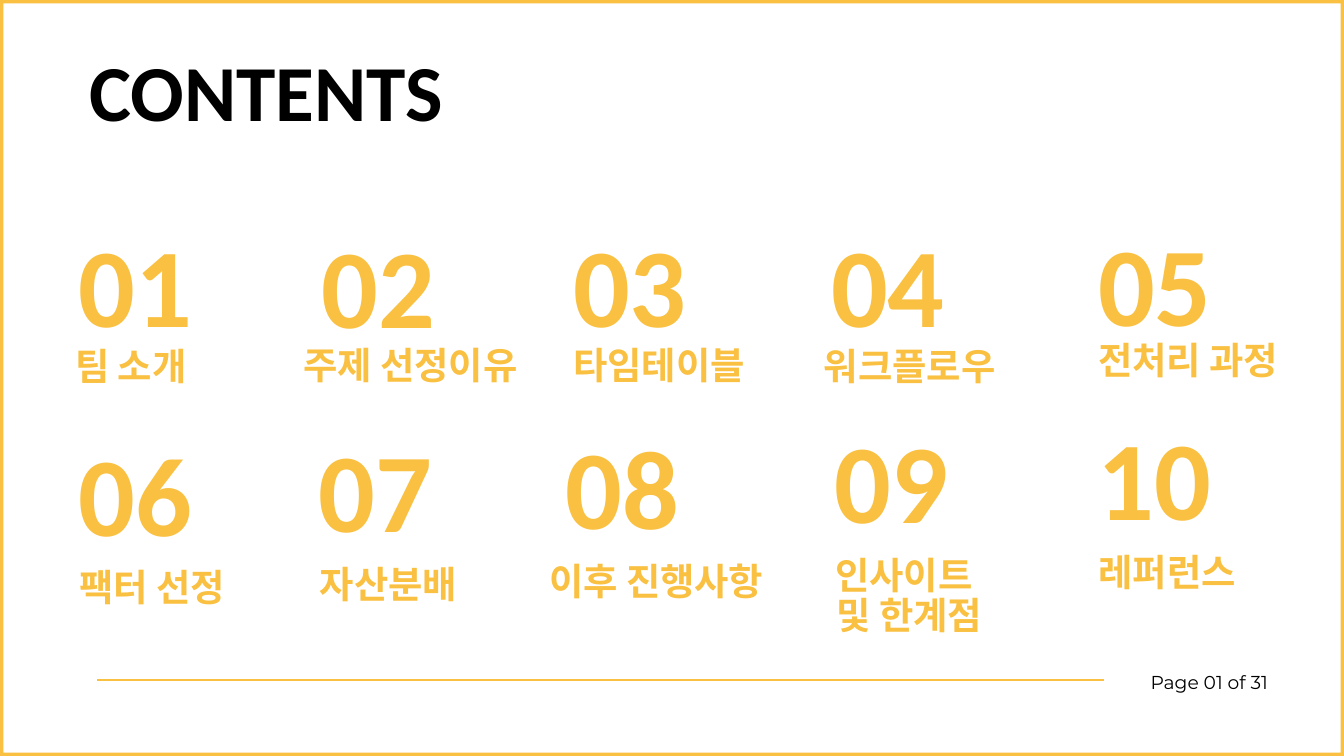
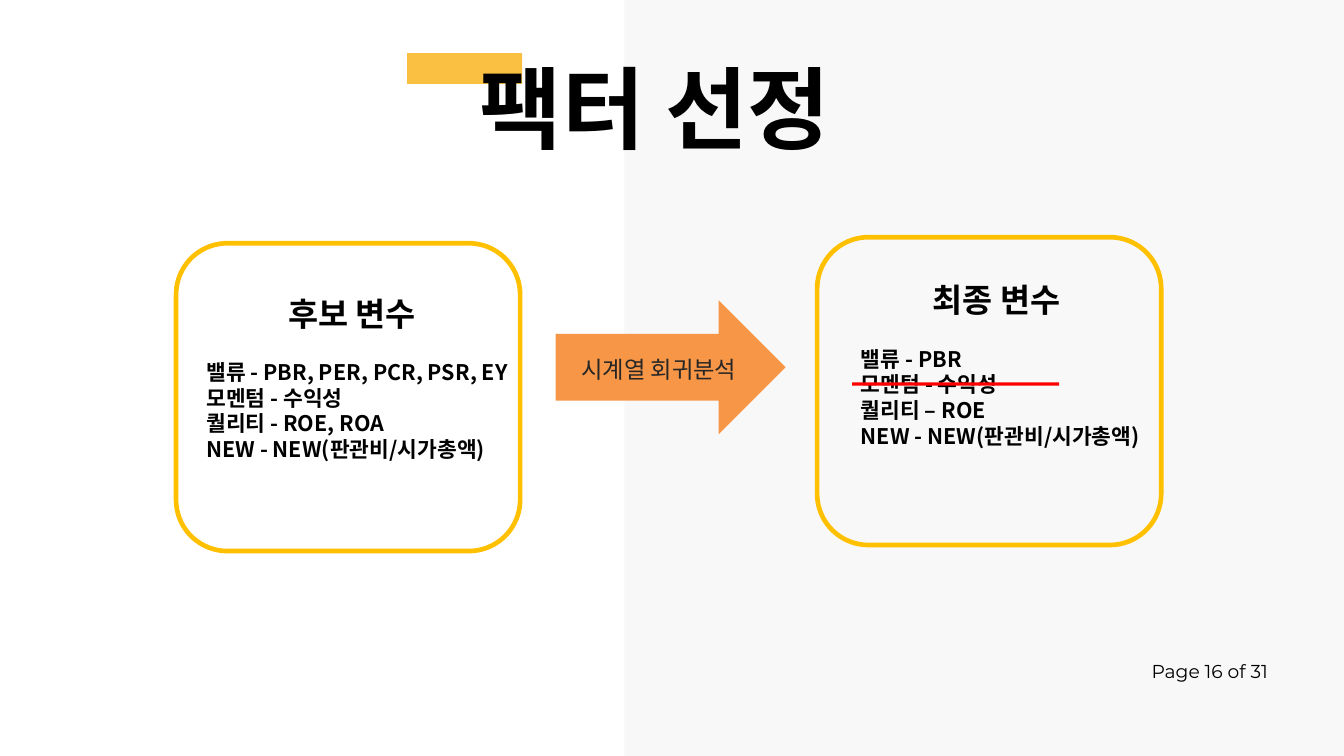
from lxml import etree
from pptx import Presentation
from pptx.dml.color import RGBColor
from pptx.enum.shapes import MSO_CONNECTOR, MSO_SHAPE
from pptx.enum.text import MSO_ANCHOR, MSO_AUTO_SIZE, PP_ALIGN
from pptx.oxml.ns import qn
from pptx.util import Inches, Pt

LEFT, RIGHT = PP_ALIGN.LEFT, PP_ALIGN.RIGHT
TOP = MSO_ANCHOR.TOP
NO_FIT = MSO_AUTO_SIZE.NONE
RECTANGLE, FRAME = MSO_SHAPE.RECTANGLE, MSO_SHAPE.FRAME
ROUNDED, ARROW = MSO_SHAPE.ROUNDED_RECTANGLE, MSO_SHAPE.RIGHT_ARROW

WIDTH, HEIGHT = 20, 11.25
YELLOW, AMBER, ORANGE, RED = "F9C041", "FFC000", "F79646", "FF0000"
BLACK, CHARCOAL, GREY = "000000", "262626", "DDDDDD"

PAGE_STYLE = dict(size=20, font="Montserrat", align=RIGHT, spacing=28)
NUMBER_STYLE = dict(size=120, font="Calibri", color=YELLOW, bold=True, spacing=114)
LABEL_STYLE = dict(size=40, color=YELLOW, bold=True, spacing=33.6)


def write(shape, box, lines, size, font, color=BLACK, bold=False,
          align=LEFT, spacing=None, inset=0):
    """Place a text box or placeholder and fill it with one paragraph per line."""
    shape.left, shape.top, shape.width, shape.height = map(Inches, box)
    frame = shape.text_frame
    frame.text = "\n".join(lines)
    settings = dict(word_wrap=True, auto_size=NO_FIT, vertical_anchor=TOP,
                    margin_left=Inches(inset), margin_right=Inches(inset),
                    margin_top=Inches(inset / 2), margin_bottom=Inches(inset / 2))
    for name, value in settings.items():
        setattr(frame, name, value)
    for paragraph in frame.paragraphs:
        paragraph.alignment = align
        if spacing:
            paragraph.line_spacing = Pt(spacing)
        for run in paragraph.runs:
            run.font.size, run.font.name, run.font.bold = Pt(size), font, bold
            run.font.color.rgb = RGBColor.from_string(color)
    return frame


def draw(slide, kind, box, fill=None, line=None, weight=0):
    shape = slide.shapes.add_shape(kind, *map(Inches, box))
    shape.shadow.inherit = False
    if fill:
        shape.fill.solid()
        shape.fill.fore_color.rgb = RGBColor.from_string(fill)
    else:
        shape.fill.background()
    if line:
        shape.line.color.rgb = RGBColor.from_string(line)
        shape.line.width = Pt(weight)
    else:
        shape.line.fill.background()
    return shape


deck = Presentation()
deck.slide_width, deck.slide_height = Inches(WIDTH), Inches(HEIGHT)
contents = deck.slides.add_slide(deck.slide_layouts[5])
factors = deck.slides.add_slide(deck.slide_layouts[3])

# Page numbers
for slide, page, top in ((contents, "01", 9.93), (factors, "16", 9.76)):
    write(slide.shapes.add_textbox(0, 0, 0, 0), (16.7, top, 2.17, 0.36),
          [f"Page {page} of 31"], **PAGE_STYLE)

# Slide 1: contents
write(contents.shapes.title, (1.33, 1.21, 12.19, 0.96), ["CONTENTS"],
      size=85, font="Calibri", bold=True, spacing=60.4)
border = draw(contents, FRAME, (0, 0, WIDTH, HEIGHT), YELLOW)
border.adjustments[0] = 0.05 / HEIGHT

rule = contents.shapes.add_connector(
    MSO_CONNECTOR.STRAIGHT, Inches(1.45), Inches(10.12), Inches(16.43), Inches(10.12))
rule.line.color.rgb = RGBColor.from_string(YELLOW)
rule.line.width = Pt(1.5)
etree.SubElement(rule._element.spPr, qn("a:effectLst"))

number_places = [
    (1.17, 3.62), (4.79, 3.64), (8.53, 3.62), (12.37, 3.63), (16.34, 3.61),
    (1.17, 6.73), (4.74, 6.68), (8.42, 6.63), (12.42, 6.54), (16.33, 6.5),
]
for number, (left, top) in enumerate(number_places, 1):
    write(contents.shapes.add_textbox(0, 0, 0, 0), (left, top, 2.84, 1.64),
          [f"{number:02}"], **NUMBER_STYLE)

chapters = [
    ("팀 소개", 1.12, 5.3, "Arial"),
    ("주제 선정이유", 4.51, 5.29, "Arial"),
    ("타임테이블", 8.53, 5.29, "Arial"),
    ("워크플로우", 12.26, 5.3, "Montserrat"),
    ("전처리 과정", 16.34, 5.22, "Montserrat"),
    ("팩터 선정", 1.18, 8.6, "Arial"),
    ("자산분배", 4.76, 8.55, "Arial"),
    ("이후 진행사항", 8.17, 8.5, "Arial"),
    ("인사이트", 12.43, 8.41, "Arial"),
    ("및 한계점", 12.45, 9.01, "Arial"),
    ("레퍼런스", 16.35, 8.37, "Arial"),
]
for chapter, left, top, font in chapters:
    write(contents.shapes.add_textbox(0, 0, 0, 0),
          (left, top, min(4.33, WIDTH - left), 0.5), [chapter], font=font, **LABEL_STYLE)

# Slide 2: factor selection
write(factors.shapes.title, (7.14, 0.79, 12.5, 1.62), ["팩터 선정"],
      size=96, font="Roboto", bold=True)
accent = draw(factors, RECTANGLE, (6.06, 0.79, 1.71, 0.46), YELLOW)
half = draw(factors, RECTANGLE, (9.29, 0, WIDTH - 9.29, HEIGHT), GREY)
tint = half._element.spPr.find(f".//{qn('a:srgbClr')}")
etree.SubElement(tint, qn("a:alpha"), val="18000")
for backdrop in (accent, half):
    factors.shapes._spTree.insert(2, backdrop._element)

draw(factors, ARROW, (8.27, 4.47, 3.42, 1.99), ORANGE)
write(factors.shapes.add_textbox(0, 0, 0, 0), (8.55, 5.24, 4.95, 0.52),
      ["시계열 회귀분석"], size=25, font="Roboto", color=CHARCOAL, inset=0.1)

variable_lists = [
    (1, (2.97, 4.32), 1.22, (2.62, 3.62),
     ["후보 변수", "밸류 - PBR, PER, PCR, PSR, EY", "모멘텀 - 수익성",
      "퀄리티 - ROE, ROA", "NEW - NEW(판관비/시가총액)"]),
    (2, (12.71, 4.12), 1.07, (12.16, 3.53),
     ["최종 변수", "밸류 - PBR", "모멘텀 - 수익성",
      "퀄리티 – ROE", "NEW - NEW(판관비/시가총액)"]),
]
for index, list_place, heading_indent, card_place, lines in variable_lists:
    variables = write(factors.placeholders[index], (*list_place, 7, 2.63), lines,
                      size=23, font="Noto Sans CJK KR", bold=True, inset=0.1)
    for row, paragraph in enumerate(variables.paragraphs):
        properties = paragraph._p.get_or_add_pPr()
        properties.set("marL", str(Inches(0 if row else heading_indent)))
        properties.set("indent", "0")
        etree.SubElement(properties, qn("a:buNone"))
        paragraph.space_before = Pt(28 if row == 1 else 0)
    variables.paragraphs[0].runs[0].font.size = Pt(35)
    draw(factors, ROUNDED, (*card_place, 5.12, 4.58), line=AMBER, weight=5)

draw(factors, ROUNDED, (12.68, 5.69, 3.08, 0.05), RED)

deck.save("out.pptx")
